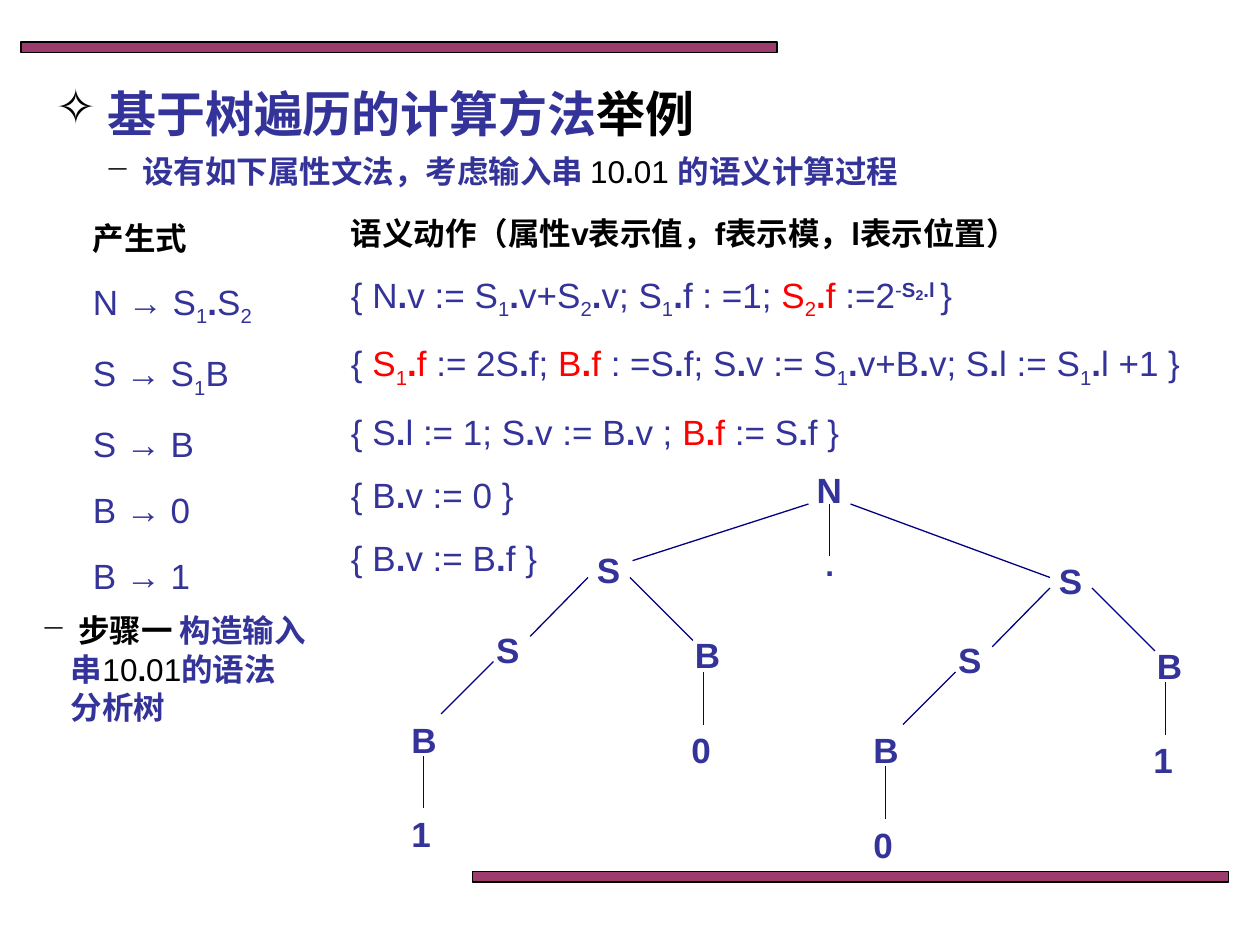
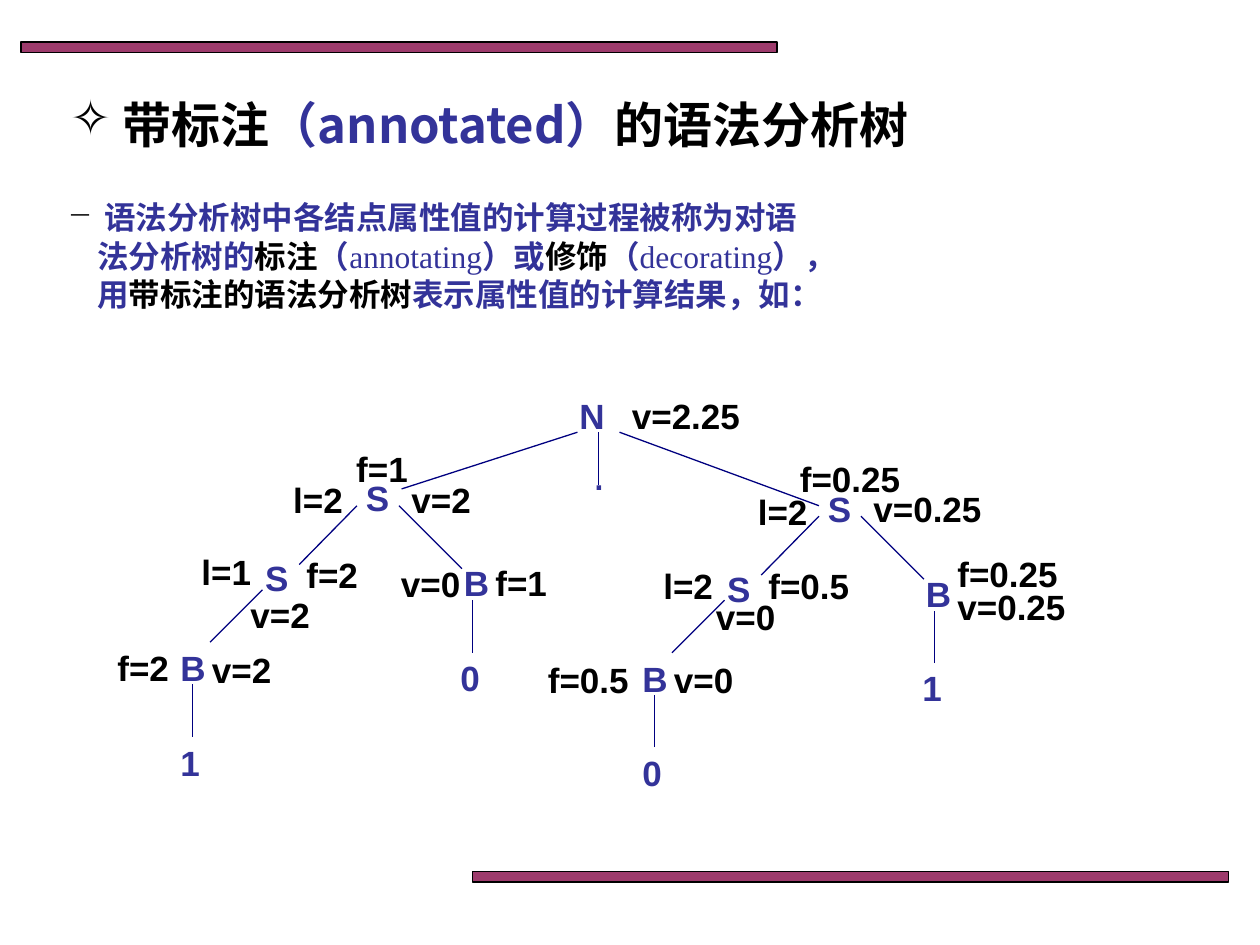
"""Build two slides on tree-based evaluation of attribute grammars."""
from dataclasses import dataclass, replace
from itertools import groupby

from lxml import etree
from pptx import Presentation
from pptx.dml import color as dml
from pptx.enum import shapes, text
from pptx.oxml import ns
from pptx.util import Pt


@dataclass(frozen=True)
class Theme:
    """Colours, fonts and type sizes of the deck."""
    ink: str = "000000"
    blue: str = "333399"
    red: str = "FF0000"
    branch: str = "000080"
    band: str = "993366"
    sans: str = "Arial"
    serif: str = "Times New Roman"
    cjk: str = "Noto Sans CJK SC"
    title: float = 28
    formula: float = 20
    body: float = 18
    exponent_digit: float = 14
    hairline: float = 0.75


THEME = Theme()


@dataclass(frozen=True)
class Span:
    """A stretch of text in one style."""
    text: str
    color: str = THEME.ink
    bold: bool = True
    font: str = THEME.cjk
    size: float = THEME.body
    baseline: int = 0


@dataclass(frozen=True)
class Line:
    """A paragraph with its bullet, indent and spacing."""
    spans: list[Span]
    bullet: str = ""
    indent: float = 0
    before: float = 0
    pitch: float | None = None
    centred: bool = False


@dataclass(frozen=True)
class Label:
    """A single-line text in the tree, placed by its box."""
    text: str
    left: float
    top: float


@dataclass(frozen=True)
class Branch:
    """A straight tree edge."""
    x1: float
    y1: float
    x2: float
    y2: float


@dataclass(frozen=True)
class Tree:
    """Where a slide's parse tree stands."""
    dx: float
    dy: float
    root: Label
    point: Label


NODE_WIDTHS = {"S": 28, "B": 30, "N": 34}
LEAF_WIDTH = 26
SUBTREE_NODES = [
    Label("S", 334, 310), Label("S", 276.5, 355.5), Label("B", 390, 358.5),
    Label("B", 228, 407),
]
SUBTREE_BRANCHES = [
    Branch(396, 366, 360, 330), Branch(303, 363.6, 336, 330),
    Branch(252, 408, 282, 378), Branch(402, 414, 402, 384),
    Branch(242, 462, 242, 432),
]
ROOT_BRANCHES = [
    Branch(600, 330, 486, 288), Branch(361.5, 320.4, 462, 288),
    Branch(474, 318, 474, 288),
]
LEAF_PLACES = [(228, 461), (388, 412.5)]
SUBTREES = [(0, 0, "10"), (264, 6, "01")]

PRODUCTIONS = ["N → S_1.S_2", "S → S_1B", "S → B", "B → 0", "B → 1"]
ACTIONS = [
    "{ N.v := S_1.v+S_2.v; S_1.f : =1; [S_2.f ]:=2<-S2.l >}",
    "{ [S_1.f ]:= 2S.f; [B.f ]: =S.f; S.v := S_1.v+B.v; S.l := S_1.l +1 }",
    "{ S.l := 1; S.v := B.v ; [B.f ]:= S.f }",
    "{ B.v := 0 }",
    "{ B.v := B.f }",
]

ATTRIBUTES = [
    Label("f=1", 196.5, 252), Label("l=1", 108, 311), Label("l=2", 160.5, 270),
    Label("f=2", 168, 313), Label("l=2", 372, 319), Label("f=2", 60, 366),
    Label("v=2", 114, 367), Label("v=2", 136, 335.5), Label("v=0", 222, 318),
    Label("v=2", 228, 270), Label("f=1", 276, 317.5), Label("l=2", 426, 277),
    Label("f=0.25", 450, 258), Label("f=0.5", 432, 319),
    Label("f=0.25", 540, 312), Label("f=0.5", 306, 373),
    Label("v=0.25", 540, 331), Label("v=0", 378, 373), Label("v=0", 402, 337),
    Label("v=0.25", 492, 275), Label("v=2.25", 354, 222),
]


def add_child(parent, tag: str, **attributes: str):
    """Append an element of the drawing namespace."""
    return etree.SubElement(parent, ns.qn(tag), attributes)


def rgb(value: str) -> dml.RGBColor:
    """Turn a hex string into a colour."""
    return dml.RGBColor.from_string(value)


def formula_spans(source: str) -> list[Span]:
    """Read _ as subscript, [ ] as red and < > as exponent, with bold dots."""
    plain = Span("", THEME.blue, False, THEME.sans, THEME.formula)
    marks = []
    color, raised, lowered = THEME.blue, False, False
    for char in source:
        if char in "[]":
            color = THEME.red if char == "[" else THEME.blue
        elif char in "<>":
            raised = char == "<"
        elif char == "_":
            lowered = True
        else:
            bold = char == "." or raised and char != "-"
            size = THEME.exponent_digit if raised and char.isdigit() else THEME.formula
            baseline = 30 if raised else -25 if lowered else 0
            style = replace(plain, color=color, bold=bold, size=size, baseline=baseline)
            marks.append((style, char))
            lowered = False
    return [replace(style, text="".join(char for _, char in group))
            for style, group in groupby(marks, key=lambda mark: mark[0])]


def number_spans(tail: str) -> list[Span]:
    """Write the input string 10.01 with a bold point."""
    return [Span(part, bold=part == ".", font=THEME.sans)
            for part in ("10", ".", "01" + tail)]


def add_text(page, left: float, top: float, width: float, height: float,
             lines: list[Line]) -> None:
    """Add a wrapping text box filled with styled lines."""
    box = page.shapes.add_textbox(Pt(left), Pt(top), Pt(width), Pt(height))
    frame = box.text_frame
    frame.word_wrap = True
    frame.auto_size = text.MSO_AUTO_SIZE.SHAPE_TO_FIT_TEXT
    for number, line in enumerate(lines):
        para = frame.add_paragraph() if number else frame.paragraphs[0]
        if line.indent:
            properties = para._p.get_or_add_pPr()
            properties.set("marL", str(Pt(line.indent)))
            if line.bullet:
                properties.set("indent", str(-Pt(line.indent)))
                add_child(properties, "a:buChar", char=line.bullet)
        if line.before:
            para.space_before = Pt(line.before)
        if line.pitch:
            para.line_spacing = Pt(line.pitch)
        if line.centred:
            para.alignment = text.PP_ALIGN.CENTER
        for span in line.spans:
            run = para.add_run()
            run.text = span.text
            run.font.size = Pt(span.size)
            run.font.bold = span.bold
            run.font.name = span.font
            run.font.color.rgb = rgb(span.color)
            properties = run._r.get_or_add_rPr()
            add_child(properties, "a:ea", typeface=THEME.cjk)
            if span.baseline:
                properties.set("baseline", str(span.baseline * 1000))


def add_title(page, left: float, top: float, spans: list[Span]) -> None:
    """Add the starred slide title."""
    sized = [replace(span, size=THEME.title) for span in spans]
    add_text(page, left, top, 633, 41, [Line(sized, "✧", 23, pitch=36)])


def body_line(spans: list[Span], bullet: str = "−") -> Line:
    """Make a body line with the common hanging indent."""
    return Line(spans, bullet, 17, pitch=22)


def add_bands(page) -> None:
    """Add the bands at the head and foot of the slide."""
    for left, top in ((12, 24), (270, 498)):
        band = page.shapes.add_shape(shapes.MSO_SHAPE.RECTANGLE,
                                     Pt(left), Pt(top), Pt(432), Pt(6))
        band.shadow.inherit = False
        band.fill.solid()
        band.fill.fore_color.rgb = rgb(THEME.band)
        tint = band._element.spPr.find(".//" + ns.qn("a:srgbClr"))
        add_child(tint, "a:alpha", val="96000")
        band.line.color.rgb = rgb(THEME.ink)
        band.line.width = Pt(THEME.hairline)


def add_branch(page, branch: Branch, dx: float, dy: float) -> None:
    """Draw one tree edge, shifted."""
    edge = page.shapes.add_connector(
        shapes.MSO_CONNECTOR.STRAIGHT, Pt(branch.x1 + dx), Pt(branch.y1 + dy),
        Pt(branch.x2 + dx), Pt(branch.y2 + dy))
    edge.line.color.rgb = rgb(THEME.branch)
    edge.line.width = Pt(THEME.hairline)
    add_child(edge._element.spPr, "a:effectLst")


def add_label(page, label: Label, width: float, color: str,
              dx: float = 0, dy: float = 0) -> None:
    """Write one bold tree label, shifted."""
    span = Span(label.text, color, True, THEME.sans, THEME.formula)
    add_text(page, label.left + dx, label.top + dy, width, 31, [Line([span])])


def add_tree(page, tree: Tree) -> None:
    """Draw the parse tree of 10.01."""
    add_label(page, tree.root, NODE_WIDTHS["N"], THEME.blue)
    point = Span(tree.point.text, THEME.blue, font=THEME.sans)
    add_text(page, tree.point.left, tree.point.top, 24.5, 36,
             [Line([point], centred=True)])
    for branch in ROOT_BRANCHES:
        add_branch(page, branch, tree.dx, tree.dy)
    for shift_x, shift_y, digits in SUBTREES:
        dx, dy = tree.dx + shift_x, tree.dy + shift_y
        leaves = [Label(digit, *place) for digit, place in zip(digits, LEAF_PLACES)]
        for node in SUBTREE_NODES + leaves:
            add_label(page, node, NODE_WIDTHS.get(node.text, LEAF_WIDTH),
                      THEME.blue, dx, dy)
        for branch in SUBTREE_BRANCHES:
            add_branch(page, branch, dx, dy)


def add_rules(page, left: float, top: float, width: float, gap: float,
              heading: str, rules: list[str]) -> None:
    """Add a heading with a column of grammar rules."""
    head = Line([Span(heading, font=THEME.sans)], pitch=24)
    rows = [Line(formula_spans(rule), before=gap) for rule in rules]
    add_text(page, left, top, width, 210, [head, *rows])


def build_example(page) -> None:
    """Show the grammar and the first step."""
    blue, serif = THEME.blue, THEME.serif
    add_title(page, 24.5, 42, [
        Span(" "), Span("基于", blue), Span("树遍历的计算方法", blue, font=serif),
        Span("举例")])
    add_text(page, 53, 83, 621, 36, [body_line([
        Span(" "), Span("设有如下属性文法，考虑输入串 ", blue, font=serif),
        *number_spans(" "), Span("的语义计算过程", blue, font=serif)])])
    add_rules(page, 46, 119, 136, 13.5, "产生式", PRODUCTIONS)
    add_rules(page, 193.5, 116.5, 504, 12,
              "语义动作（属性v表示值，f表示模，l表示位置）", ACTIONS)
    add_tree(page, Tree(0, 0, Label("N", 459.5, 264), Label(".", 462, 308)))
    add_text(page, 16.5, 345.5, 165.5, 73, [body_line([
        Span(" "), Span("步骤一 ", font=serif), Span("构造输入串", blue, font=serif),
        *number_spans(""), Span("的语法分析树", blue, font=serif)])])


def build_annotated(page) -> None:
    """Show the annotated parse tree."""
    blue, serif = THEME.blue, THEME.serif
    add_title(page, 33, 48, [
        Span(" 带标注"), Span("（annotated）", blue), Span("的语法分析树")])
    add_text(page, 31.5, 109.5, 613, 94, [
        body_line([Span(" "), Span("语法分析树中各结点属性值的计算过程被称为对语",
                                   blue, font=serif)]),
        body_line([
            Span("法分析树的", blue, font=serif), Span("标注", font=serif),
            Span("（", blue, font=serif), Span("annotating", blue, False, serif),
            Span("）或", blue, font=serif), Span("修饰", font=serif),
            Span("（", blue, font=serif), Span("decorating", blue, False, serif),
            Span("），", blue, font=serif)], ""),
        body_line([
            Span("用", blue, font=serif), Span("带标注的语法分析树", font=serif),
            Span("表示属性值的计算结果，如：", blue, font=serif)], "")])
    add_tree(page, Tree(-132, -41, Label("N", 324, 222), Label(".", 330, 259)))
    for label in ATTRIBUTES:
        add_label(page, label, 50 if len(label.text) == 3 else 78, THEME.ink)


def main() -> None:
    """Build and save the deck."""
    deck = Presentation()
    deck.slide_width, deck.slide_height = Pt(720), Pt(540)
    for build in (build_example, build_annotated):
        page = deck.slides.add_slide(deck.slide_layouts[6])
        add_bands(page)
        build(page)
    deck.save("out.pptx")


if __name__ == "__main__":
    main()
